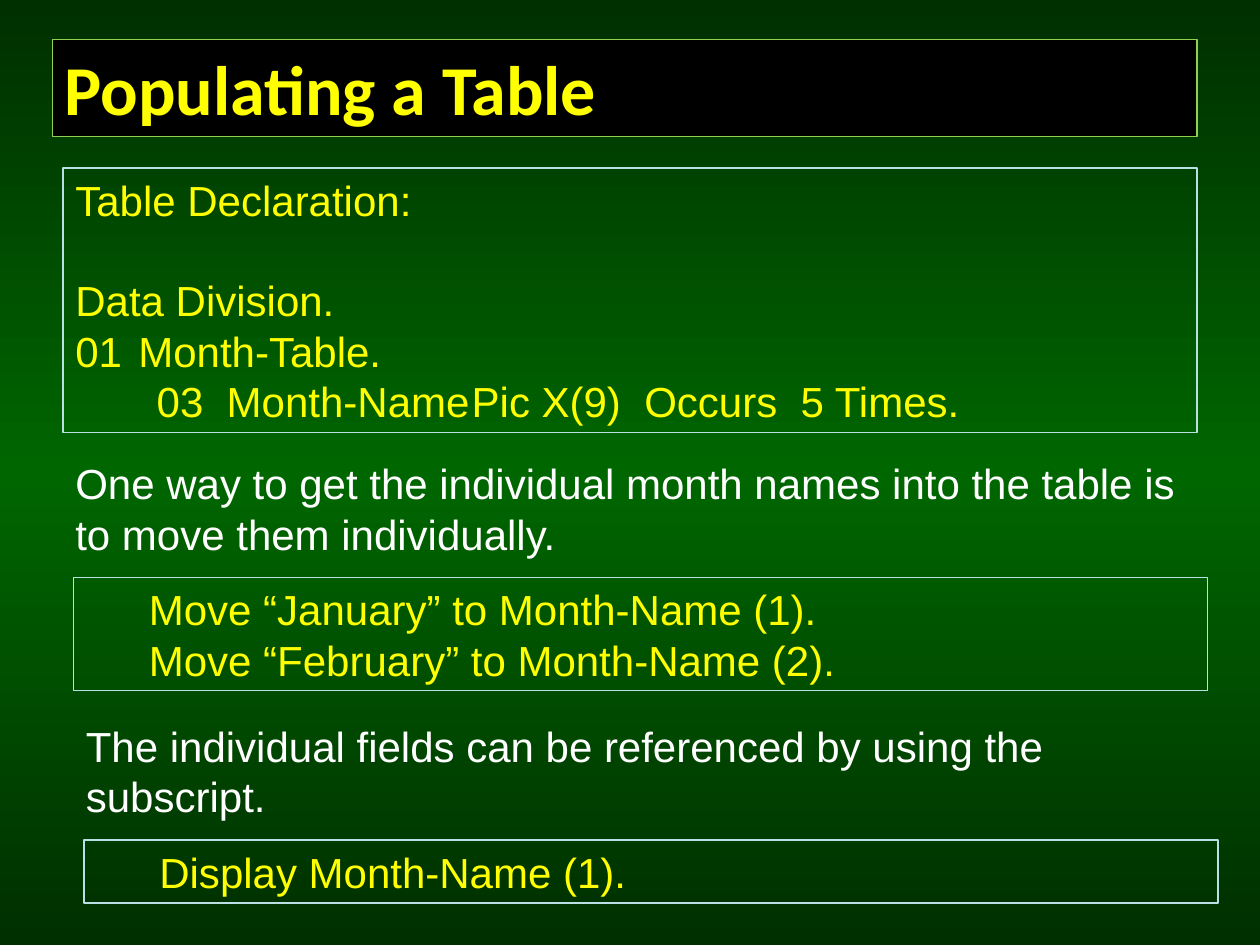
from copy import deepcopy

from lxml import etree
from pptx import Presentation
from pptx import util as u
from pptx.dml.color import RGBColor
from pptx.enum import shapes, text
from pptx.oxml.ns import qn

THEME = {
    "edge": "002F00", "middle": "006600",
    "black": "000000", "lime": "92D050", "pale": "BBE0E3",
    "code": "FFFF00", "prose": "FFFFFF",
    "title_font": "Calibri", "body_font": "Arial",
    "title_size": 40, "body_size": 24, "line_width": 0.75,
}

# The grid has twelve units to the inch
deck = Presentation()
deck.slide_width, deck.slide_height = u.Inches(10), u.Inches(7.5)
UNIT = deck.slide_width / 120
MARGIN, LINE = 0.6, 4.8  # units above and below the text, and per body line


def grid(units):
    return u.Emu(round(units * UNIT))


def color(name):
    return RGBColor.from_string(THEME[name])


page = deck.slides.add_slide(deck.slide_layouts[6])

# Background: dark at top and bottom, lighter in the middle
backdrop = page.background.fill
backdrop.gradient()
backdrop.gradient_angle = 90
stop_list = page._element.find(".//" + qn("a:gsLst"))
stop_list.insert(1, deepcopy(stop_list[0]))
for stop, (place, name) in zip(backdrop.gradient_stops,
                               [(0, "edge"), (0.5, "middle"), (1, "edge")]):
    stop.position = place
    stop.color.rgb = color(name)

# Each paragraph: text, left indent, tab stop, blank lines before (indents in units)
declaration = [
    ("Table Declaration:", 0, None, 0),
    ("Data Division.", 0, None, 1),
    ("01\tMonth-Table.", 0, 7.75, 0),
    ("03  Month-Name\tPic X(9)  Occurs  5 Times.", 7.75, 48, 0),
]
moves = [(f"Move “{month}” to Month-Name ({number}).", 6, None, 0)
         for number, month in enumerate(["January", "February"], 1)]
one_way = [("One way to get the individual month names into the table is "
            "to move them individually.", 0, None, 0)]
reference = [("The individual fields can be referenced by using the subscript.",
              0, None, 0)]
display = [("Display Month-Name (1).", 6, None, 0)]

# Each block: left, top, width, height in units, fill, line, style, paragraphs
blocks = [
    (5, 3.75, 109, 9.25, "black", "lime", "title", [("Populating a Table", 0, None, 0)]),
    (6, 16, 108, 2 * MARGIN + 5 * LINE, None, "pale", "code", declaration),
    (6, 43, 109, 2 * MARGIN + 2 * LINE, None, None, "prose", one_way),
    (7, 55, 108, 2 * MARGIN + 2 * LINE, None, "pale", "code", moves),
    (7, 68, 109, 2 * MARGIN + 2 * LINE, None, None, "prose", reference),
    (8, 80, 108, 2 * MARGIN + LINE, None, "pale", "code", display),
]

for left, top, width, height, fill, line, style, paragraphs in blocks:
    place = [grid(value) for value in (left, top, width, height)]

    # Framed blocks are rectangles, prose is a plain text box
    if line:
        box = page.shapes.add_shape(shapes.MSO_SHAPE.RECTANGLE, *place)
        box.shadow.inherit = False
        box.line.color.rgb = color(line)
        box.line.width = u.Pt(THEME["line_width"])
        if fill:
            box.fill.solid()
            box.fill.fore_color.rgb = color(fill)
        else:
            box.fill.background()
    else:
        box = page.shapes.add_textbox(*place)

    frame = box.text_frame
    frame_format = {
        "word_wrap": True, "vertical_anchor": text.MSO_ANCHOR.TOP,
        "margin_left": grid(2 * MARGIN), "margin_right": grid(2 * MARGIN),
        "margin_top": grid(MARGIN), "margin_bottom": grid(MARGIN),
    }
    for name, value in frame_format.items():
        setattr(frame, name, value)

    is_title = style == "title"
    font_format = {
        "name": THEME["title_font" if is_title else "body_font"],
        "size": u.Pt(THEME["title_size" if is_title else "body_size"]),
        "bold": is_title,
    }
    for index, (words, indent, tab, blank_lines) in enumerate(paragraphs):
        para = frame.add_paragraph() if index else frame.paragraphs[0]
        para.alignment = text.PP_ALIGN.LEFT
        para.space_before = grid(blank_lines * LINE)
        properties = para._p.get_or_add_pPr()
        properties.set("marL", str(grid(indent)))
        properties.set("indent", "0")
        if tab:
            tabs = etree.SubElement(properties, qn("a:tabLst"))
            etree.SubElement(tabs, qn("a:tab"), pos=str(grid(tab)), algn="l")

        span = para.add_run()
        span.text = words
        for name, value in font_format.items():
            setattr(span.font, name, value)
        span.font.color.rgb = color("code" if is_title else style)

deck.save("out.pptx")
